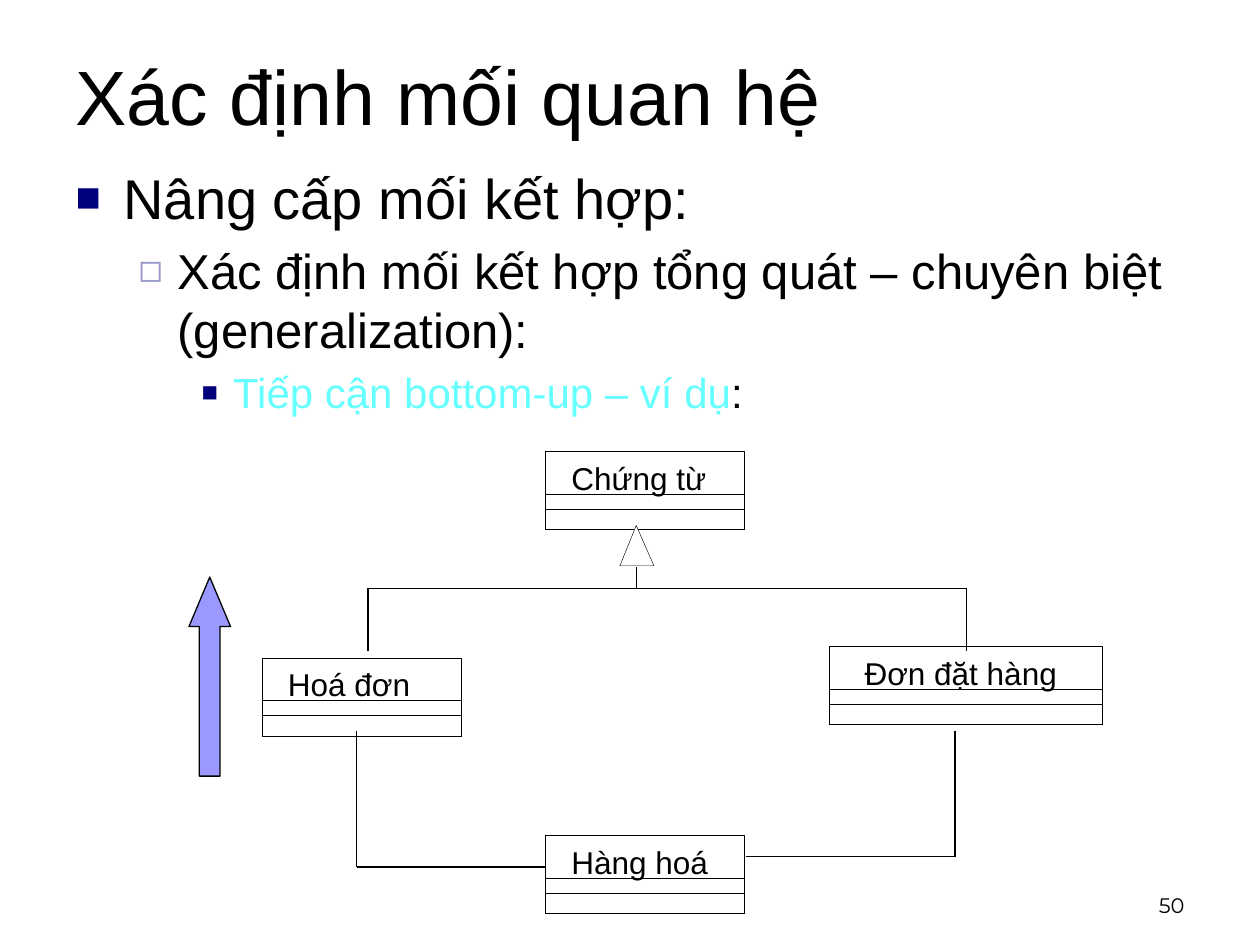
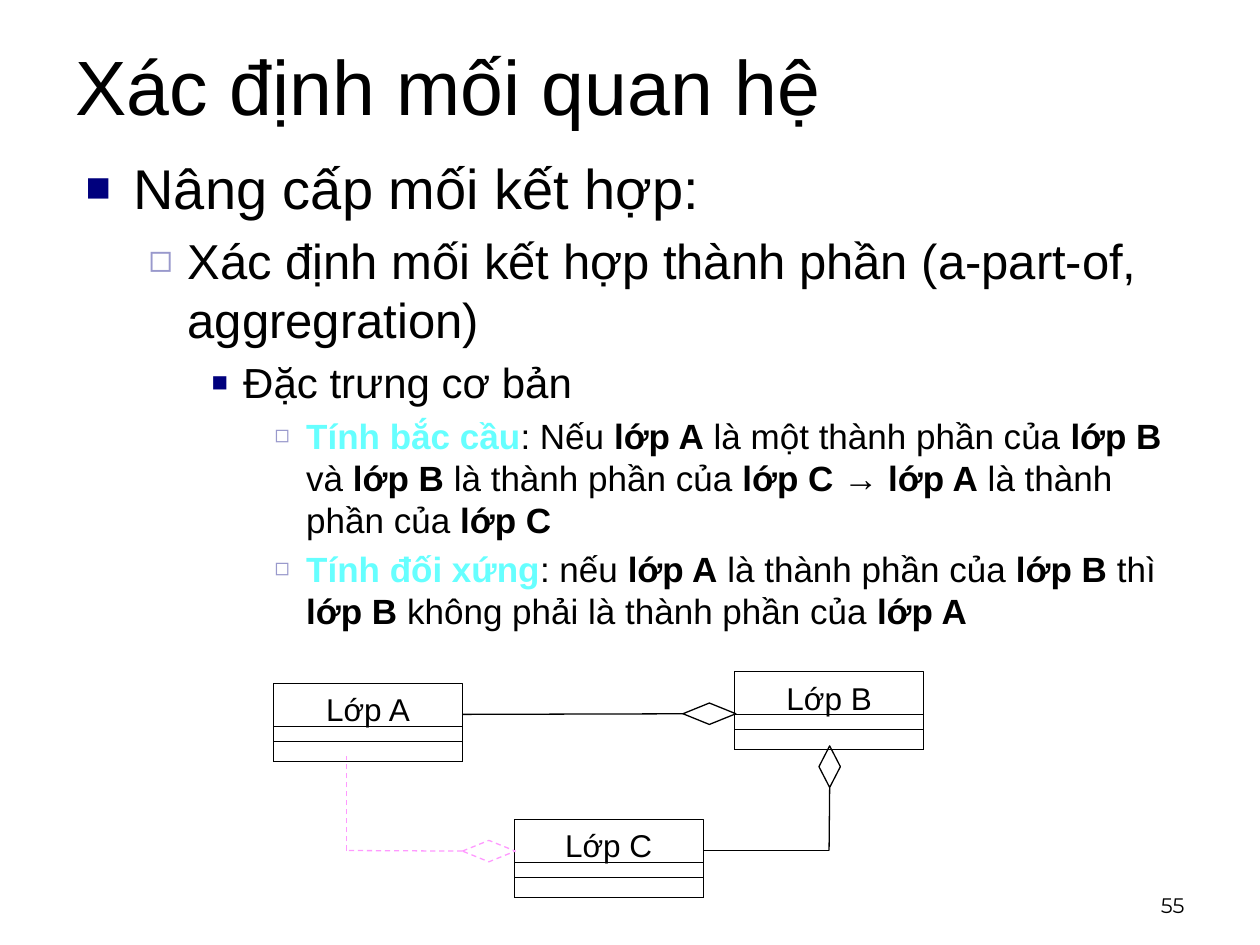
from itertools import pairwise

from lxml.etree import SubElement
from pptx import Presentation
from pptx.dml.color import RGBColor
from pptx.enum.dml import MSO_LINE
from pptx.enum.shapes import MSO_CONNECTOR, MSO_SHAPE
from pptx.enum.text import MSO_ANCHOR, MSO_AUTO_SIZE, PP_ALIGN
from pptx.oxml.ns import qn
from pptx.util import Inches, Pt

BLACK, WHITE, HOT = "000000", "FFFFFF", "66FFFF"
NAVY, LILAC, BLUE, PINK = "00007D", "9999CC", "9999FF", "FF99FF"
TITLE = "Xác định mối quan hệ"
LEVELS = [
    (32, 0.38, 0.38, "■", NAVY, 75),
    (28, 0.81, 0.31, "◻", LILAC, 80),
    (24, 1.25, 0.25, "■", NAVY, 65),
    (20, 1.75, 0.25, "◻", LILAC, 70),
]


def color(code):
    """Turn a hex string into a colour."""
    return RGBColor.from_string(code)


def write(para, text, size, code=BLACK, bold=False, face="Arial"):
    """Add one formatted run."""
    run = para.add_run()
    run.text = text
    run.font.name, run.font.size, run.font.bold = face, Pt(size), bold
    run.font.color.rgb = color(code)


def place(shape, box):
    """Move a shape to a box given in inches."""
    shape.left, shape.top, shape.width, shape.height = map(Inches, box)


def style(shape, fill=None, code=BLACK, width=0.75, dash=False):
    """Set fill and outline, and drop the shadow."""
    shape.shadow.inherit = False
    if fill:
        shape.fill.solid()
        shape.fill.fore_color.rgb = color(fill)
    else:
        shape.fill.background()
    pen(shape.line, code, width, dash)


def pen(line, code, width, dash):
    """Format a line."""
    line.color.rgb = color(code)
    line.width = Pt(width)
    if dash:
        line.dash_style = MSO_LINE.DASH


def head(slide, box):
    """Fill the title placeholder."""
    title = slide.shapes.title
    place(title, box)
    frame = title.text_frame
    frame.auto_size = MSO_AUTO_SIZE.NONE
    frame.vertical_anchor = MSO_ANCHOR.MIDDLE
    para = frame.paragraphs[0]
    para.alignment = PP_ALIGN.LEFT
    write(para, TITLE, 44)


def bullet(para, level):
    """Give a paragraph the indent and bullet of its level."""
    _, left, hang, char, code, scale = LEVELS[level]
    para.level = level
    props = para._p.get_or_add_pPr()
    props.set("marL", str(Inches(left)))
    props.set("indent", str(-Inches(hang)))
    tint = SubElement(props, qn("a:buClr"))
    SubElement(tint, qn("a:srgbClr"), val=code)
    SubElement(props, qn("a:buSzPct"), val=str(scale * 1000))
    SubElement(props, qn("a:buChar"), char=char)


def body(slide, box, items):
    """Fill the list; each item is level, bright lead and text with *bold* parts."""
    holder = slide.placeholders[1]
    place(holder, box)
    frame = holder.text_frame
    frame.auto_size = MSO_AUTO_SIZE.NONE
    for num, (level, lead, text) in enumerate(items):
        para = frame.add_paragraph() if num else frame.paragraphs[0]
        bullet(para, level)
        if not num:
            para.space_before = Pt(0)
        size = LEVELS[level][0]
        if lead:
            write(para, lead, size, HOT, level == 3)
        for part, words in enumerate(text.split("*")):
            if words:
                write(para, words, size, bold=part % 2 == 1)


def footer(slide, num):
    """Write the page number at the lower right."""
    area = slide.shapes.add_textbox(*map(Inches, (7.17, 6.83, 2.33, 0.5)))
    frame = area.text_frame
    frame.word_wrap = True
    frame.vertical_anchor = MSO_ANCHOR.BOTTOM
    para = frame.paragraphs[0]
    para.alignment = PP_ALIGN.RIGHT
    write(para, str(num), 12, face="Montserrat")


def entity(slide, name, left, top, width, align=PP_ALIGN.LEFT):
    """Draw a class box with its name and two lower parts."""
    group = slide.shapes.add_group_shape()
    tall = 0.62
    for drop in (0, 0.34, 0.46):
        rect = group.shapes.add_shape(
            MSO_SHAPE.RECTANGLE,
            *map(Inches, (left, top + drop, width, tall - drop)))
        style(rect, width=0.2)
    label = group.shapes.add_textbox(
        *map(Inches, (left + 0.13 * width, top + 0.06, 0.74 * width, 0.3)))
    frame = label.text_frame
    frame.word_wrap = True
    frame.auto_size = MSO_AUTO_SIZE.SHAPE_TO_FIT_TEXT
    frame.margin_left = frame.margin_right = 0
    frame.margin_top = frame.margin_bottom = 0
    para = frame.paragraphs[0]
    para.alignment = align
    write(para, name, 18)


def route(slide, points, start=None, code=BLACK, dash=False):
    """Join points by straight lines, the first glued to a shape's site if given."""
    for num, (one, two) in enumerate(pairwise(points)):
        link = slide.shapes.add_connector(
            MSO_CONNECTOR.STRAIGHT, *map(Inches, one + two))
        pen(link.line, code, 0.75, dash)
        SubElement(link._element.spPr, qn("a:effectLst"))
        if start and not num:
            link.begin_connect(*start)


def diamond(slide, box, code=BLACK, dash=False):
    """Draw the diamond end of a part-of link."""
    shape = slide.shapes.add_shape(MSO_SHAPE.DIAMOND, *map(Inches, box))
    style(shape, code=code, dash=dash)
    return shape


def tree(slide):
    """Draw the bottom-up class tree."""
    for name, *spot in (("Hoá đơn", 2.08, 5.22, 1.58),
                        ("Đơn đặt hàng", 6.58, 5.13, 2.17),
                        ("Hàng hoá", 4.33, 6.63, 1.58),
                        ("Chứng từ", 4.33, 3.58, 1.58)):
        entity(slide, name, *spot)
    for points in ([(2.83, 5.8), (2.83, 6.88), (4.33, 6.88)],
                   [(7.58, 5.8), (7.58, 6.8), (5.92, 6.8)],
                   [(5.05, 4.5), (5.05, 4.67)],
                   [(2.92, 5.17), (2.92, 4.67), (7.67, 4.67), (7.67, 5.17)]):
        route(slide, points)
    pen_path = slide.shapes.build_freeform(Inches(5.05), Inches(4.17))
    pen_path.add_line_segments(
        [(Inches(x), Inches(4.49)) for x in (5.19, 4.92)], close=True)
    style(pen_path.convert_to_shape(), WHITE, width=0.25)
    arrow = slide.shapes.add_shape(
        MSO_SHAPE.UP_ARROW, *map(Inches, (1.5, 4.58, 0.33, 1.58)))
    arrow.adjustments[0], arrow.adjustments[1] = 0.5, 1.19
    style(arrow, BLUE)


def parts(slide):
    """Draw the three classes and their part-of links."""
    for name, left, top in (("Lớp A", 2.17, 5.42), ("Lớp B", 5.83, 5.33),
                            ("Lớp C", 4.08, 6.5)):
        entity(slide, name, left, top, 1.5, PP_ALIGN.CENTER)
    whole = diamond(slide, (5.42, 5.58, 0.42, 0.17))
    route(slide, [(5.42, 5.67), (3.67, 5.67)], (whole, 1))
    whole = diamond(slide, (6.5, 5.92, 0.17, 0.33))
    route(slide, [(6.58, 6.25), (6.58, 6.75), (5.58, 6.75)], (whole, 2))
    whole = diamond(slide, (3.67, 6.67, 0.42, 0.17), PINK, True)
    route(slide, [(3.67, 6.75), (2.75, 6.75), (2.75, 6)],
          (whole, 1), PINK, True)


def page(deck, num, top, left, items, draw):
    """Build one slide with title, list, diagram and number."""
    slide = deck.slides.add_slide(deck.slide_layouts[1])
    head(slide, (0.5, top, 9, 1.5))
    body(slide, (left, top + 1.25, 9, 4.95), items)
    footer(slide, num)
    draw(slide)


def main():
    """Build and save the deck."""
    deck = Presentation()
    deck.slide_width, deck.slide_height = Inches(10), Inches(7.5)
    first = (0, "", "Nâng cấp mối kết hợp:")
    page(deck, 50, 0, 0.5, [
        first,
        (1, "", "Xác định mối kết hợp tổng quát – chuyên biệt (generalization):"),
        (2, "Tiếp cận bottom-up – ví dụ", ":"),
    ], tree)
    page(deck, 55, -0.08, 0.58, [
        first,
        (1, "", "Xác định mối kết hợp thành phần (a-part-of, aggregration)"),
        (2, "", "Đặc trưng cơ bản"),
        (3, "Tính bắc cầu", ": Nếu *lớp A* là một thành phần của *lớp B* và "
         "*lớp B* là thành phần của *lớp C *→ *lớp A* là thành phần của *lớp C*"),
        (3, "Tính đối xứng", ": nếu *lớp A* là thành phần của *lớp B* thì "
         "*lớp B* không phải là thành phần của *lớp A*"),
    ], parts)
    deck.save("out.pptx")


if __name__ == "__main__":
    main()
